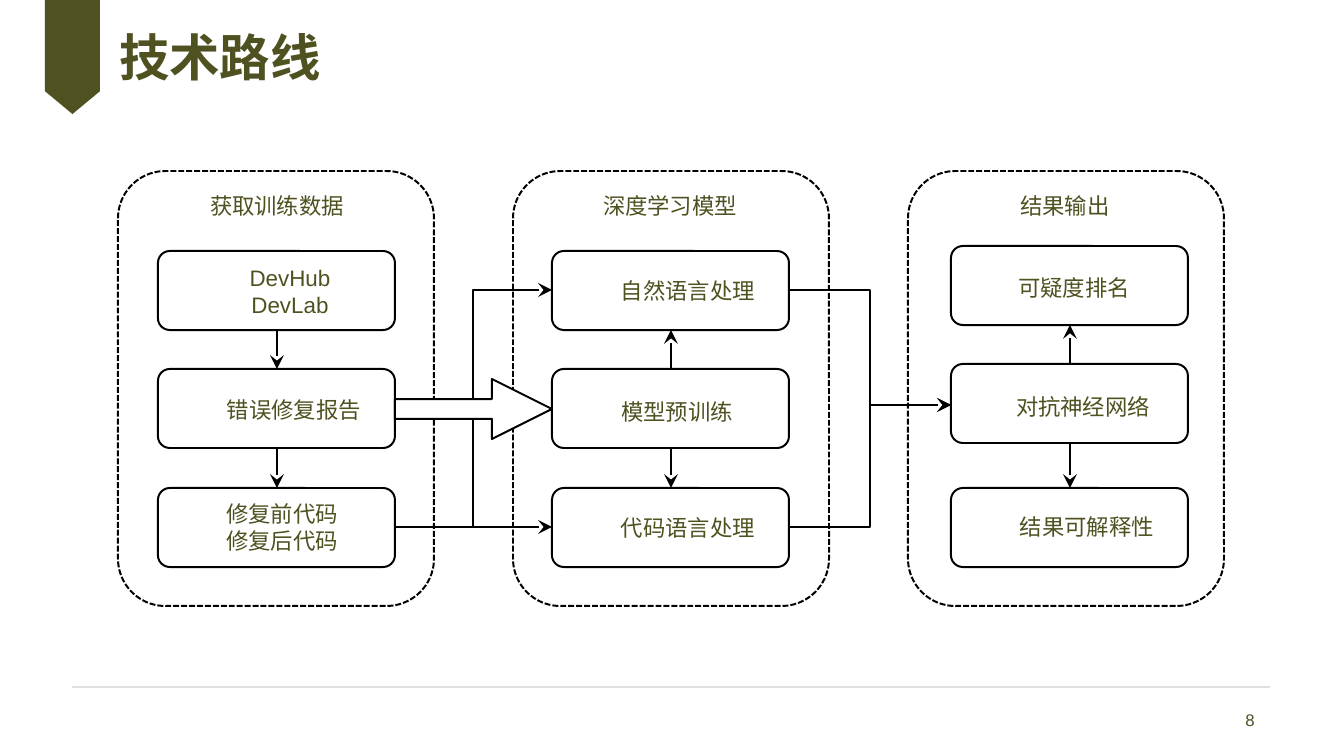
import pptx
import pptx.util
import pptx.dml.color
import pptx.enum.dml
import pptx.enum.shapes
import pptx.enum.text
import pptx.oxml.ns
from lxml import etree

EMU_PER_PX = 914400 / 100.8
OLIVE = pptx.dml.color.RGBColor(0x50, 0x51, 0x21)
BLACK = pptx.dml.color.RGBColor(0, 0, 0)
WHITE = pptx.dml.color.RGBColor(255, 255, 255)
PALE_GREY = pptx.dml.color.RGBColor(0xE0, 0xE0, 0xE0)
LATIN_FONT = "Arial"
CJK_FONT = "Noto Sans CJK SC"
LINE_PT = 1.41
SHAPE = pptx.enum.shapes.MSO_SHAPE
CONNECTOR = pptx.enum.shapes.MSO_CONNECTOR
ALIGN = pptx.enum.text.PP_ALIGN

STAGE_LEFT, STAGE_STEP, STAGE_TOP = 118, 395, 171
STAGE_WIDTH, STAGE_HEIGHT = 316, 435
STEP_WIDTH, STEP_HEIGHT = 237, 79

# Heading, heading centre, left edge of the steps, then (top, text, text centre) per step
STAGES = [
    ("获取训练数据", 277, 158, [
        (251, "DevHub DevLab", (290, 291)),
        (369, "错误修复报告", (294, 410)),
        (488, "修复前代码\n修复后代码", (282, 527))]),
    ("深度学习模型", 670, 552, [
        (251, "自然语言处理", (688, 291)),
        (369, "模型预训练", (677, 412)),
        (488, "代码语言处理", (688, 528))]),
    ("结果输出", 1065, 951, [
        (246, "可疑度排名", (1074, 288)),
        (364, "对抗神经网络", (1083, 407)),
        (488, "结果可解释性", (1087, 527))]),
]
VERTICAL_ARROWS = [
    (277, 330, 369), (277, 448, 488),
    (671, 369, 330), (671, 448, 488),
    (1070, 364, 325), (1070, 443, 488),
]
BRANCHES = [
    (CONNECTOR.ELBOW, (395, 527), (552, 290)),
    (CONNECTOR.STRAIGHT, (395, 527), (552, 527)),
    (CONNECTOR.ELBOW, (789, 290), (951, 405)),
    (CONNECTOR.ELBOW, (789, 527), (951, 405)),
]


def px(*lengths):
    return [pptx.util.Emu(round(length * EMU_PER_PX)) for length in lengths]


def style_paragraph(paragraph, size, align, bold=False):
    paragraph.alignment = align
    paragraph.space_before = pptx.util.Pt(0)
    font = paragraph.font
    font.size = pptx.util.Pt(size)
    font.bold = bold
    font.color.rgb = OLIVE
    font.name = LATIN_FONT if paragraph.text.isascii() else CJK_FONT
    properties = paragraph._p.pPr.find(pptx.oxml.ns.qn("a:defRPr"))
    east_asian = etree.SubElement(properties, pptx.oxml.ns.qn("a:ea"))
    east_asian.set("typeface", CJK_FONT)


def add_outlined(slide, preset, box, fill=WHITE, line=BLACK, adjustments=()):
    shape = slide.shapes.add_shape(preset, *px(*box))
    shape.shadow.inherit = False
    shape.fill.solid()
    shape.fill.fore_color.rgb = fill
    shape.line.color.rgb = line
    shape.line.width = pptx.util.Pt(LINE_PT)
    for index, value in enumerate(adjustments):
        shape.adjustments[index] = value
    return shape


def add_line(slide, kind, start, end, colour=BLACK, width=LINE_PT, arrow=True):
    line = slide.shapes.add_connector(kind, *px(*start, *end))
    line.line.color.rgb = colour
    line.line.width = pptx.util.Pt(width)
    if arrow:
        head = etree.SubElement(line.line._get_or_add_ln(), pptx.oxml.ns.qn("a:tailEnd"))
        for name, value in (("type", "stealth"), ("w", "lg"), ("len", "lg")):
            head.set(name, value)
    etree.SubElement(line._element.spPr, pptx.oxml.ns.qn("a:effectLst"))


def add_label(slide, text, centre, size=16):
    """Centre an unwrapped text box, sized from its longest line, on a point."""
    lines = text.split("\n")
    width = 22 + max(sum(11 if char.isascii() else 22 for char in line) for line in lines)
    height = 10 + 27 * len(lines)
    label = slide.shapes.add_textbox(
        *px(centre[0] - width / 2, centre[1] - height / 2, width, height))
    frame = label.text_frame
    frame.word_wrap = False
    frame.vertical_anchor = pptx.enum.text.MSO_ANCHOR.MIDDLE
    frame.text = text
    for paragraph in frame.paragraphs:
        style_paragraph(paragraph, size, ALIGN.CENTER)


def add_title(slide, text):
    title = slide.shapes.title
    title.left, title.top, title.width, title.height = px(119, 25, 668, 63)
    frame = title.text_frame
    frame.margin_left = frame.margin_right = frame.margin_top = frame.margin_bottom = 0
    frame.auto_size = pptx.enum.text.MSO_AUTO_SIZE.NONE
    frame.vertical_anchor = pptx.enum.text.MSO_ANCHOR.MIDDLE
    frame.text = text
    style_paragraph(frame.paragraphs[0], 36, ALIGN.LEFT, bold=True)


def add_stage_panel(slide, index):
    box = (STAGE_LEFT + index * STAGE_STEP, STAGE_TOP, STAGE_WIDTH, STAGE_HEIGHT)
    panel = add_outlined(slide, SHAPE.ROUNDED_RECTANGLE, box, adjustments=[0.15])
    panel.line.dash_style = pptx.enum.dml.MSO_LINE.SQUARE_DOT


def add_stage_content(slide, heading, heading_x, steps_left, steps):
    add_label(slide, heading, (heading_x, 206))
    for top, text, centre in steps:
        add_outlined(slide, SHAPE.ROUNDED_RECTANGLE,
                     (steps_left, top, STEP_WIDTH, STEP_HEIGHT), adjustments=[0.15])
        add_label(slide, text, centre)


def main():
    deck = pptx.Presentation()
    deck.slide_width, deck.slide_height = px(1344, 756)
    slide = deck.slides.add_slide(deck.slide_layouts[5])

    add_line(slide, CONNECTOR.STRAIGHT, (72, 687), (1270, 687), PALE_GREY, 0.75, arrow=False)
    add_outlined(slide, SHAPE.FLOWCHART_OFFPAGE_CONNECTOR, (45, 0, 55, 114),
                 OLIVE).line.fill.background()
    add_title(slide, "技术路线")
    add_label(slide, "8", (1250, 720), size=12)

    for index in range(len(STAGES)):
        add_stage_panel(slide, index)
    for x, start_y, end_y in VERTICAL_ARROWS:
        add_line(slide, CONNECTOR.STRAIGHT, (x, start_y), (x, end_y))
    for kind, start, end in BRANCHES:
        add_line(slide, kind, start, end)
    for stage in STAGES:
        add_stage_content(slide, *stage)
    add_outlined(slide, SHAPE.RIGHT_ARROW, (395, 379, 157, 60), adjustments=[0.33, 1])

    deck.save("out.pptx")


if __name__ == "__main__":
    main()
